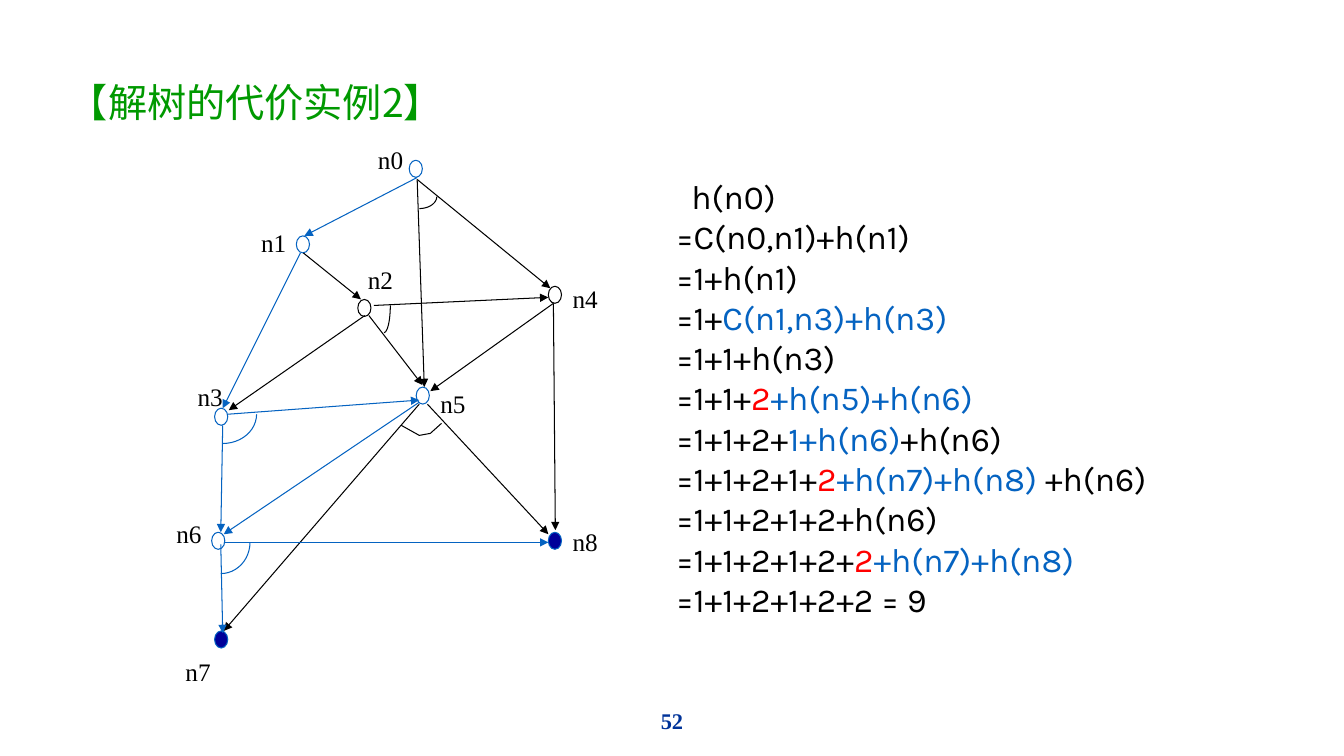
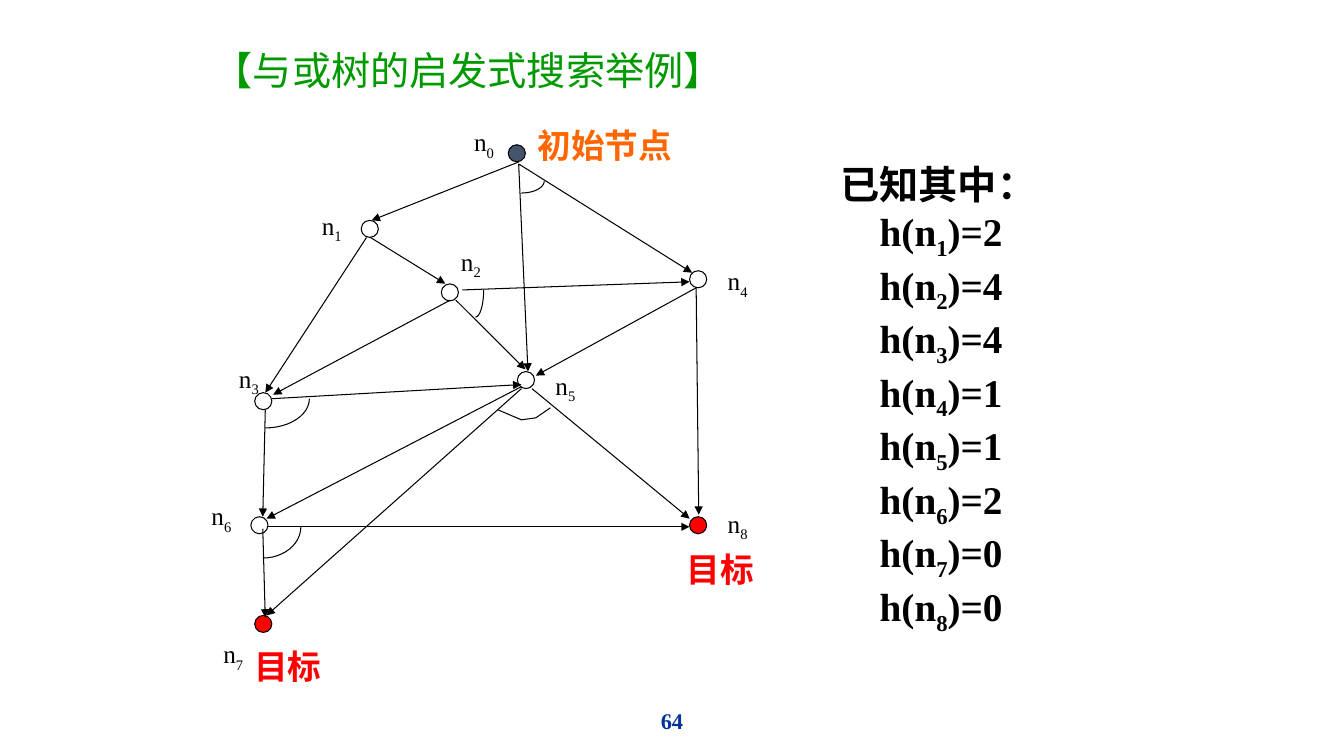
from dataclasses import dataclass, field
from math import cos, pi, sin

from lxml.etree import SubElement
from pptx import Presentation
from pptx.dml.color import RGBColor
from pptx.enum.shapes import MSO_CONNECTOR, MSO_SHAPE
from pptx.enum.text import MSO_ANCHOR, PP_ALIGN
from pptx.oxml.ns import qn
from pptx.util import Pt

SERIF, SANS, KARLA = "Times New Roman", "Noto Sans CJK SC", "Karla"
BLACK, BLUE, RED = "000000", "0563C1", "FF0000"
NAVY, SLATE, ORANGE = "000099", "44546A", "FF6600"
TITLE_GREEN, PAGE_BLUE = "009900", "003399"
NODE_WIDTH, NODE_HEIGHT = 9.4, 12.2
ARC_STEPS = 12

NODES = [(297, 120.6), (216.4, 174.6), (260.3, 220), (158, 297.7), (396.4, 210.6),
         (302, 282.6), (155.9, 386.3), (158, 456.8), (396.4, 386.3)]
LABELS = [(279, 113.8), (195.5, 173.5), (271.8, 199.4), (150.1, 283), (418, 213.1),
          (323.6, 288), (135, 380.9), (141.5, 479.5), (418, 386.6)]
EDGES = {
    (0, 1): (298, 126.8, 217.4, 168.5),
    (0, 5): (298, 128.2, 303.1, 276.5),
    (0, 4): (298, 128.2, 393.1, 205.9),
    (1, 3): (214.6, 180.7, 159.1, 291.6),
    (1, 2): (216.7, 180.7, 257.8, 213.8),
    (2, 5): (263.5, 225.4, 301.7, 275),
    (2, 4): (267.1, 218.2, 391.7, 212.4),
    (2, 3): (260.6, 225.4, 163.4, 293),
    (3, 5): (162.7, 295.9, 299.5, 285.8),
    (3, 6): (159.1, 303.8, 157.7, 380.2),
    (4, 5): (395.3, 216.7, 307.4, 279.4),
    (4, 8): (395.3, 216.7, 396.7, 378.7),
    (5, 6): (299.5, 287.3, 159.8, 381.6),
    (5, 7): (299.5, 288.7, 159.8, 450.7),
    (5, 8): (305.3, 288.7, 391.7, 381.6),
    (6, 8): (159.8, 387.4, 391.7, 387.4),
    (6, 7): (157.7, 388.8, 159.1, 452.2),
}
AND_ARCS = {
    0: (299.5, 140.4, 12.5, 8.6),
    2: (274.3, 218.2, 4.5, 19.4),
    3: (159.1, 295.9, 24.2, 20.9),
    6: (157.7, 387.4, 20.9, 22.3),
}
AND_BRACKET = [(286.6, 303.8), (299.5, 311), (307.4, 309.6), (315.4, 302.4)]

COST_STEPS = [
    [("h(n0)", BLACK)],
    [("=C(n0,n1)+h(n1)", BLACK)],
    [("=1+h(n1)", BLACK)],
    [("=1+", BLACK), ("C(n1,n3)+h(n3)", BLUE)],
    [("=1+1+h(n3)", BLACK)],
    [("=1+1+", BLACK), ("2", RED), ("+h(n5)+h(n6)", BLUE)],
    [("=1+1+2+", BLACK), ("1+h(n6)", BLUE), ("+h(n6)", BLACK)],
    [("=1+1+2+1+", BLACK), ("2", RED), ("+h(n7)+h(n8)", BLUE), (" +h(n6)", BLACK)],
    [("=1+1+2+1+2+h(n6)", BLACK)],
    [("=1+1+2+1+2+", BLACK), ("2", RED), ("+h(n7)+h(n8)", BLUE)],
    [("=1+1+2+1+2+2 = 9", BLACK)],
]
HEURISTICS = [2, 4, 4, 1, 1, 2, 0, 0]


@dataclass
class GraphStyle:
    stretch: float = 1
    shift_x: float = 0
    shift_y: float = 0
    subscripts: bool = False
    node_lines: dict = field(default_factory=dict)
    node_fills: dict = field(default_factory=dict)
    solution: set = field(default_factory=set)
    solution_arcs: set = field(default_factory=set)

    def place(self, x, y):
        return Pt(x * self.stretch + self.shift_x), Pt(y + self.shift_y)


def rgb(hex_code):
    return RGBColor.from_string(hex_code)


def format_run(run, font, size, color, bold=False, subscript=False):
    run.font.name, run.font.size, run.font.bold = font, Pt(size), bold
    run.font.color.rgb = rgb(color)
    properties = run._r.get_or_add_rPr()
    SubElement(properties, qn("a:ea")).set("typeface", SANS)
    if subscript:
        properties.set("baseline", "-25000")


def add_pieces(paragraph, pieces, font, size, bold=False):
    for text, color, *subscript in pieces:
        run = paragraph.add_run()
        run.text = text
        format_run(run, font, size, color, bold, bool(subscript))


def add_lines(slide, box, lines, indents, font, size, bold=False, anchor=MSO_ANCHOR.TOP):
    frame = slide.shapes.add_textbox(*map(Pt, box)).text_frame
    frame.word_wrap = True
    frame.vertical_anchor = anchor
    for index, (pieces, indent) in enumerate(zip(lines, indents)):
        paragraph = frame.add_paragraph() if index else frame.paragraphs[0]
        paragraph._p.get_or_add_pPr().set("marL", str(Pt(indent)))
        add_pieces(paragraph, pieces, font, size, bold)


def add_caption(shapes, center, size, pieces, font_size, bold=False):
    (x, y), (width, height) = center, map(Pt, size)
    frame = shapes.add_textbox(x - width // 2, y - height // 2, width, height).text_frame
    frame.margin_left = frame.margin_right = 0
    frame.word_wrap = False
    frame.vertical_anchor = MSO_ANCHOR.MIDDLE
    frame.paragraphs[0].alignment = PP_ALIGN.CENTER
    add_pieces(frame.paragraphs[0], pieces, SERIF, font_size, bold)


def outline(shape, color, fill=None):
    shape.shadow.inherit = False
    shape.line.color.rgb = rgb(color)
    shape.line.width = Pt(0.75)
    if fill:
        shape.fill.solid()
        shape.fill.fore_color.rgb = rgb(fill)
    else:
        shape.fill.background()


def add_node(shapes, center, width, color, fill):
    x, y = center
    width, height = Pt(width), Pt(NODE_HEIGHT)
    node = shapes.add_shape(MSO_SHAPE.OVAL, x - width // 2, y - height // 2, width, height)
    outline(node, color, fill)


def add_arrow(shapes, start, end, color):
    arrow = shapes.add_connector(MSO_CONNECTOR.STRAIGHT, *start, *end)
    arrow.line.color.rgb = rgb(color)
    arrow.line.width = Pt(0.75)
    SubElement(arrow.line._get_or_add_ln(), qn("a:tailEnd")).set("type", "triangle")
    SubElement(arrow._element.spPr, qn("a:effectLst"))


def quarter_arc(x, y, width, height):
    angles = [pi / 2 * step / ARC_STEPS for step in range(ARC_STEPS + 1)]
    return [(x + width * sin(angle), y + height * cos(angle)) for angle in angles]


def add_and_mark(shapes, points, color):
    builder = shapes.build_freeform(*points[0])
    builder.add_line_segments(points[1:], close=False)
    outline(builder.convert_to_shape(), color)


def add_graph(slide, style):
    shapes = slide.shapes.add_group_shape().shapes
    for index, center in enumerate(NODES):
        add_node(shapes, style.place(*center), NODE_WIDTH * style.stretch,
                 style.node_lines.get(index, BLACK), style.node_fills.get(index))
    for edge, (x1, y1, x2, y2) in EDGES.items():
        add_arrow(shapes, style.place(x1, y1), style.place(x2, y2),
                  BLUE if edge in style.solution else BLACK)
    marks = {index: quarter_arc(*arc) for index, arc in AND_ARCS.items()}
    marks[5] = AND_BRACKET
    for index, points in marks.items():
        add_and_mark(shapes, [style.place(*point) for point in points],
                     BLUE if index in style.solution_arcs else BLACK)
    for index, center in enumerate(LABELS):
        pieces = [("n", BLACK), (str(index), BLACK, True)] if style.subscripts else [(f"n{index}", BLACK)]
        add_caption(shapes, style.place(*center), (32.4, 28.8), pieces, 18)


def add_titled_slide(deck, title, title_box, page):
    slide = deck.slides.add_slide(deck.slide_layouts[5])
    heading = slide.shapes.title
    heading.left, heading.top, heading.width, heading.height = map(Pt, title_box)
    frame = heading.text_frame
    frame.text = title
    frame.vertical_anchor = MSO_ANCHOR.MIDDLE
    paragraph = frame.paragraphs[0]
    paragraph.alignment = PP_ALIGN.LEFT
    paragraph.line_spacing = 0.9
    format_run(paragraph.runs[0], SANS, 28, TITLE_GREEN)
    add_caption(slide.shapes, (Pt(480), Pt(514.8)), (324, 28.8), [(page, PAGE_BLUE)], 16, True)
    return slide


def build_cost_slide(deck):
    slide = add_titled_slide(deck, "【解树的代价实例2】", (42, 23, 828, 104.4), "52")
    add_graph(slide, GraphStyle(
        node_lines={index: BLUE for index in (0, 1, 3, 5, 6, 7, 8)},
        node_fills={7: NAVY, 8: NAVY},
        solution={(0, 1), (1, 3), (3, 5), (3, 6), (5, 6), (6, 7), (6, 8)},
        solution_arcs={3, 6}))
    indents = [11] + [0] * (len(COST_STEPS) - 1)
    add_lines(slide, (475.8, 122, 403, 356.4), COST_STEPS, indents, KARLA, 24)


def build_search_slide(deck):
    slide = add_titled_slide(deck, "【与或树的启发式搜索举例】", (145.5, 25.2, 448, 53.3), "64")
    known = [[("已知其中：", BLACK)]] + [
        [("h(n", BLACK), (str(index), BLACK, True), (f")={value}", BLACK)]
        for index, value in enumerate(HEURISTICS, 1)]
    indents = [0] + [28] * len(HEURISTICS)
    add_lines(slide, (593.3, 128, 213, 312.5), known, indents, SERIF, 28, True, MSO_ANCHOR.MIDDLE)
    add_graph(slide, GraphStyle(
        stretch=1.303, shift_x=-17.8, shift_y=-11.1, subscripts=True,
        node_fills={0: SLATE, 7: RED, 8: RED}))
    for text, color, x, y, width in [("初始节点", ORANGE, 432, 103.7, 111),
                                     ("目标", RED, 205.6, 475.6, 63.4),
                                     ("目标", RED, 514.3, 406.4, 63.4)]:
        add_caption(slide.shapes, (Pt(x), Pt(y)), (width, 36.7), [(text, color)], 24, True)


def main():
    deck = Presentation()
    deck.slide_width, deck.slide_height = Pt(960), Pt(540)
    build_cost_slide(deck)
    build_search_slide(deck)
    deck.save("out.pptx")


if __name__ == "__main__":
    main()
